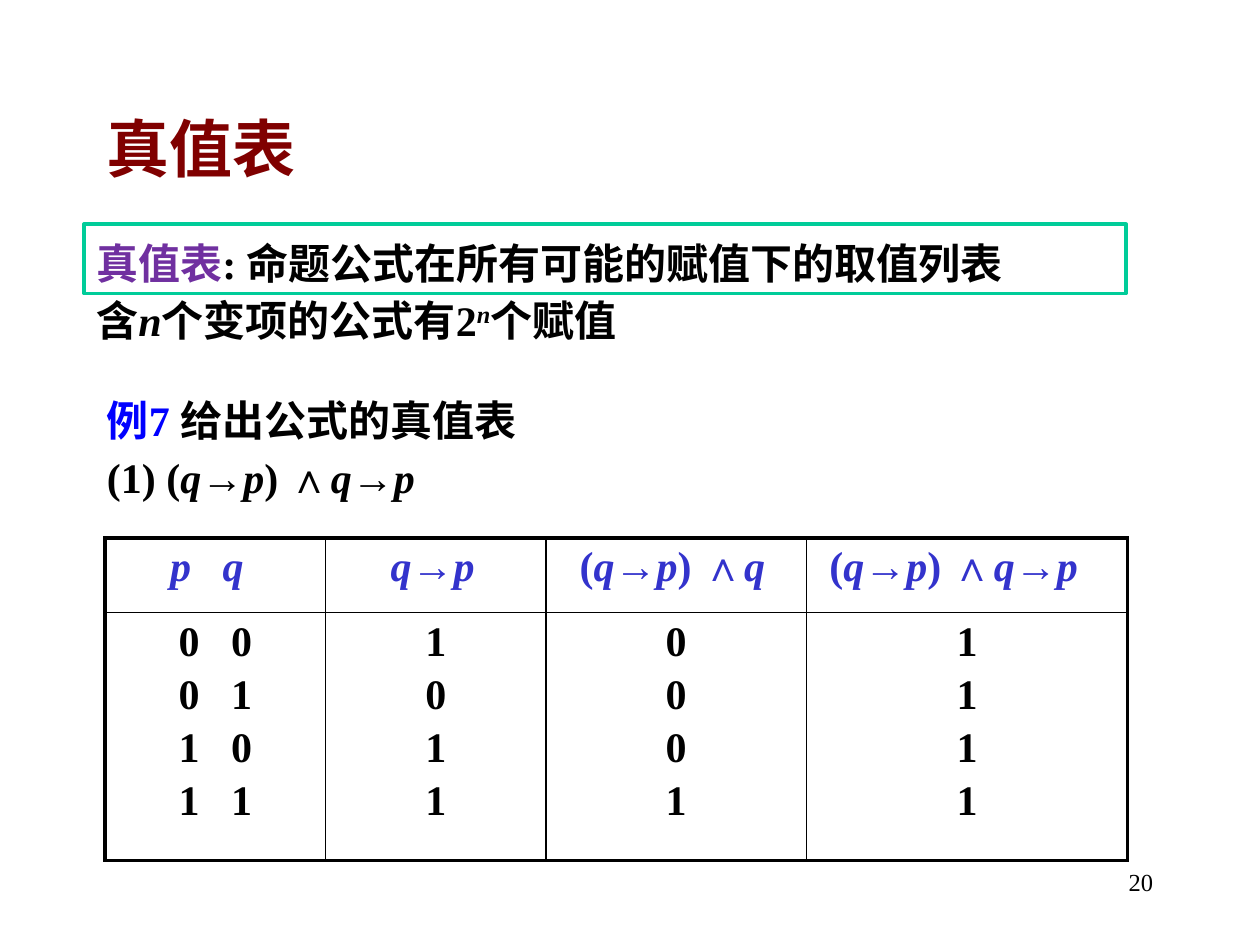
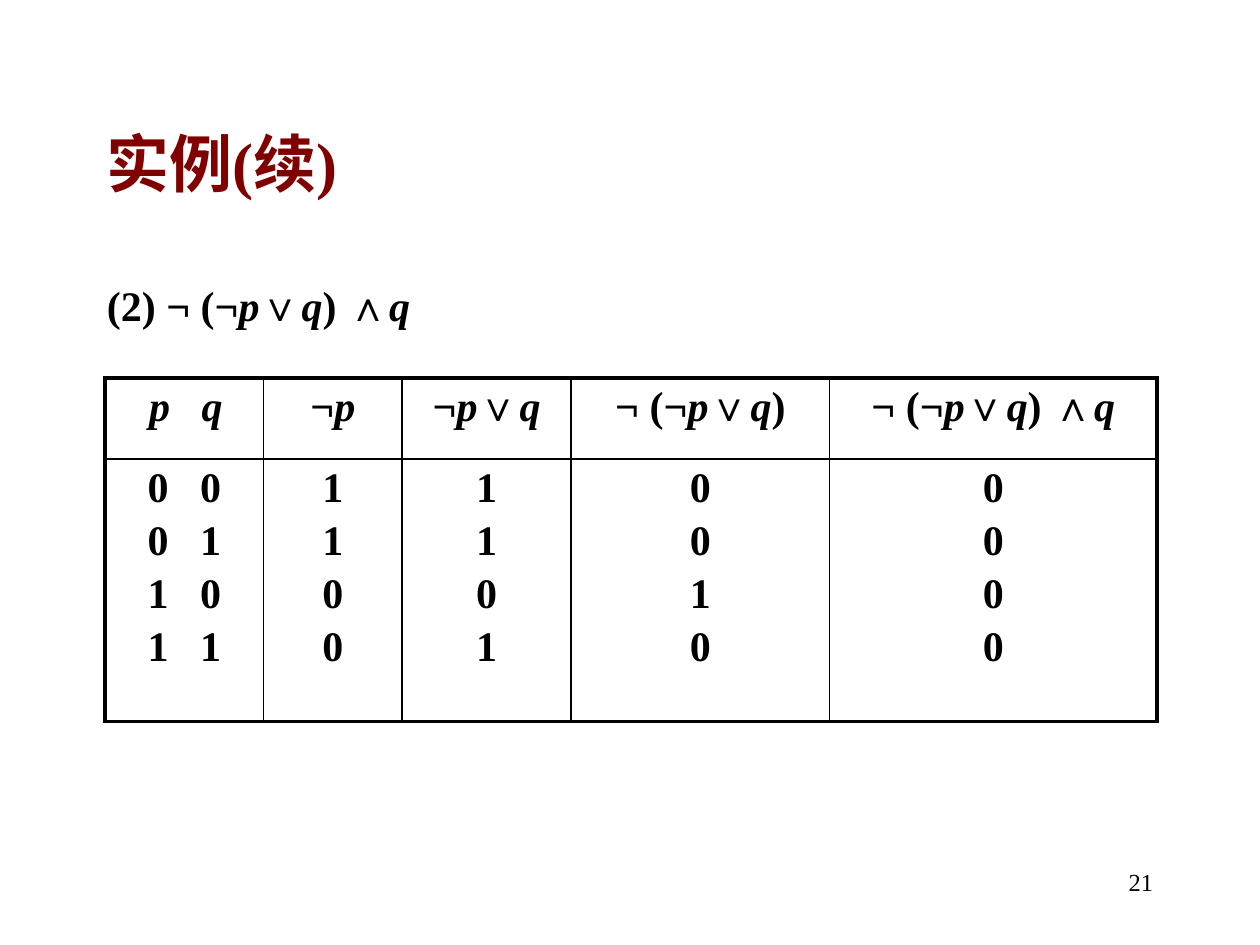
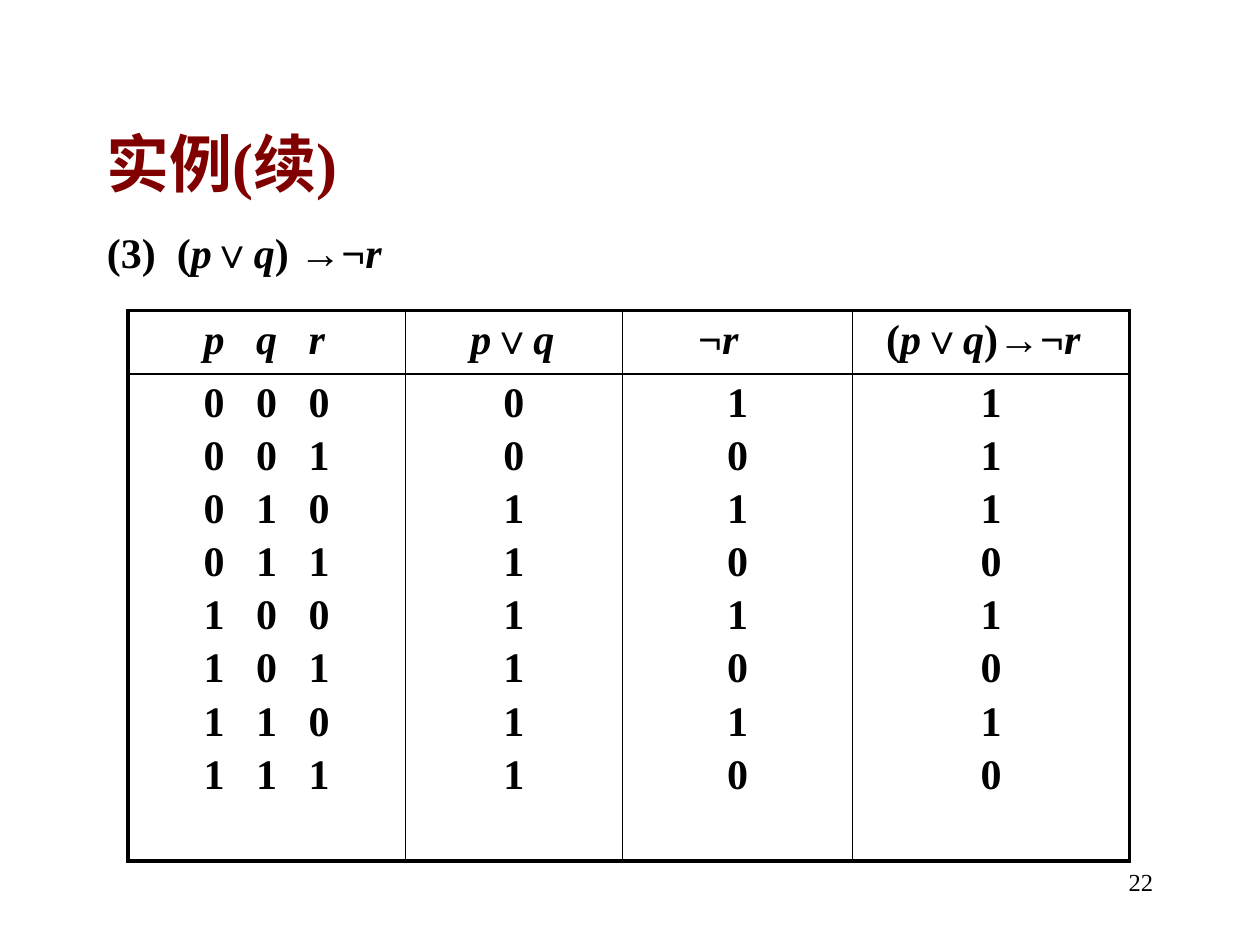
import itertools

import lxml.etree
import pptx
import pptx.dml.color
import pptx.enum.shapes
import pptx.enum.text
import pptx.oxml.ns
import pptx.util

BLACK = pptx.dml.color.RGBColor(0x00, 0x00, 0x00)
WHITE = pptx.dml.color.RGBColor(0xFF, 0xFF, 0xFF)
MAROON = pptx.dml.color.RGBColor(0x80, 0x00, 0x00)
BLUE = pptx.dml.color.RGBColor(0x00, 0x00, 0xFF)
INDIGO = pptx.dml.color.RGBColor(0x33, 0x33, 0xCC)
PURPLE = pptx.dml.color.RGBColor(0x70, 0x30, 0xA0)
GREEN = pptx.dml.color.RGBColor(0x00, 0xCC, 0x99)

FONT = "Times New Roman"
TITLE_SIZE, BODY_SIZE, NUMBER_SIZE = 36, 24, 14
PARAGRAPH_GAP = pptx.util.Pt(3.8)
SPACE_WIDTH = 6
OUTER_BORDER, INNER_BORDER = 2.25, 1
COLUMNS, ROWS = 120, 90
CELL_MARGIN = 1.2
CENTER = pptx.enum.text.PP_ALIGN.CENTER
RIGHT = pptx.enum.text.PP_ALIGN.RIGHT


def grid(units):
    """Length of a number of grid units; the slide is 120 by 90 of them."""
    return int(pptx.util.Inches(10) * units / COLUMNS)


def character_kind(character):
    if character in "pqrn":
        return "variable"
    return {"_": "gap", "ⁿ": "power"}.get(character, "plain")


def add_formula(paragraph, text, color, size=BODY_SIZE, bold=True):
    """Add runs: variables in italics, ⁿ raised, each _ one space of width."""
    for kind, characters in itertools.groupby(text, character_kind):
        piece = "".join(characters)
        run = paragraph.add_run()
        run.text = {"gap": " ", "power": "n"}.get(kind, piece)
        run.font.name = FONT
        run.font.size = pptx.util.Pt(size)
        run.font.bold = bold
        run.font.italic = kind in ("variable", "power")
        run.font.color.rgb = color
        properties = run.font._element
        if kind == "gap":
            properties.set("spc", str((len(piece) - 1) * SPACE_WIDTH * 100))
        elif kind == "power":
            properties.set("baseline", "30000")


def fill_paragraphs(text_frame, lines, alignment=None, **style):
    """Write lines, each a list of (text, color) parts."""
    for index, parts in enumerate(lines):
        paragraph = text_frame.add_paragraph() if index else text_frame.paragraphs[0]
        paragraph.alignment = alignment
        paragraph.space_before = PARAGRAPH_GAP
        for text, color in parts:
            add_formula(paragraph, text, color, **style)


def add_text(slide, left, top, width, height, lines, **style):
    box = slide.shapes.add_textbox(grid(left), grid(top), grid(width), grid(height))
    box.text_frame.word_wrap = True
    fill_paragraphs(box.text_frame, lines, **style)
    return box


def add_page(presentation, number, title, title_height):
    slide = presentation.slides.add_slide(presentation.slide_layouts[6])
    add_text(slide, 86, 82, 25, 6, [[(str(number), BLACK)]],
             alignment=RIGHT, size=NUMBER_SIZE, bold=False)
    box = add_text(slide, 9, 8, 102, title_height, [[(title, MAROON)]], size=TITLE_SIZE)
    box.text_frame.vertical_anchor = pptx.enum.text.MSO_ANCHOR.MIDDLE
    box.text_frame.paragraphs[0].space_before = pptx.util.Pt(0)
    return slide


def add_frame(slide, left, top, width, height):
    frame = slide.shapes.add_shape(pptx.enum.shapes.MSO_SHAPE.RECTANGLE,
                                   grid(left), grid(top), grid(width), grid(height))
    frame.shadow.inherit = False
    frame.fill.solid()
    frame.fill.fore_color.rgb = WHITE
    frame.line.color.rgb = GREEN
    frame.line.width = pptx.util.Pt(2)


def set_borders(cell, outer_edges):
    """Draw the four borders, thick on the outer edges of the table."""
    properties = cell._tc.get_or_add_tcPr()
    qualified = pptx.oxml.ns.qn
    for index, edge in enumerate(("lnL", "lnR", "lnT", "lnB")):
        width = OUTER_BORDER if edge in outer_edges else INNER_BORDER
        line = lxml.etree.Element(qualified("a:" + edge), w=str(pptx.util.Pt(width)))
        fill = lxml.etree.SubElement(line, qualified("a:solidFill"))
        lxml.etree.SubElement(fill, qualified("a:srgbClr"), val=str(BLACK))
        properties.insert(index, line)


def add_truth_table(slide, left, top, widths, heights, headers, values, header_color=BLACK):
    """headers: (formula, indent in spaces or None to centre);
    values: one string of digits for each formula after the variables."""
    variables = headers[0][0].count("_") // 3 + 1
    assignments = ["___".join(bits) for bits in itertools.product("01", repeat=variables)]
    shape = slide.shapes.add_table(2, len(widths), grid(left), grid(top),
                                   grid(sum(widths)), grid(sum(heights)))
    table = shape.table
    table.first_row = table.horz_banding = False
    for row, height in zip(table.rows, heights):
        row.height = grid(height)
    last = len(widths) - 1
    for index, (width, (formula, indent), results) in enumerate(
            zip(widths, headers, [assignments, *values])):
        table.columns[index].width = grid(width)
        sides = {"lnL"} if index == 0 else {"lnR"} if index == last else set()
        header, body = table.cell(0, index), table.cell(1, index)
        for cell, edge in ((header, "lnT"), (body, "lnB")):
            cell.fill.solid()
            cell.fill.fore_color.rgb = WHITE
            set_borders(cell, sides | {edge})
        if indent is not None:
            header.margin_left = grid(CELL_MARGIN + indent)
        fill_paragraphs(header.text_frame, [[(formula, header_color)]],
                        alignment=CENTER if indent is None else None)
        fill_paragraphs(body.text_frame, [[(result, BLACK)] for result in results],
                        alignment=CENTER)


def add_definition_page(presentation):
    slide = add_page(presentation, 20, "真值表", 12)
    add_text(slide, 9, 37, 102, 13, [
        [("例7 ", BLUE), ("给出公式的真值表", BLACK)],
        [("(1) (q→p) ∧q→p", BLACK)],
    ])
    add_truth_table(
        slide, 10, 51.25, [21, 21, 24.8, 30.6], [7.1, 23.6],
        [("p___q", 5), ("q→p", 5), ("(q→p) ∧q", 2), ("(q→p) ∧q→p", 1)],
        ["1011", "0001", "1111"], INDIGO)
    add_frame(slide, 8, 21.35, 99.25, 6.6)
    add_text(slide, 8, 22, 104, 12, [
        [("真值表", PURPLE), (": 命题公式在所有可能的赋值下的取值列表", BLACK)],
        [("含n个变项的公式有2ⁿ个赋值", BLACK)],
    ])


def add_negation_page(presentation):
    slide = add_page(presentation, 21, "实例(续)", 15)
    add_text(slide, 9, 26, 102, 45, [[("(2) ¬ (¬p∨q) ∧q", BLACK)]])
    add_truth_table(
        slide, 10, 36, [15.1, 13.2, 16.1, 24.6, 31.2], [7.7, 25],
        [("p___q", 3), ("¬p", None), ("¬p∨q", None), ("¬ (¬p∨q)", None),
         ("¬ (¬p∨q) ∧q", None)],
        ["1100", "1101", "0010", "0000"])


def add_three_variable_page(presentation):
    slide = add_page(presentation, 22, "实例(续)", 15)
    add_text(slide, 9, 21, 102, 7, [[("(3)__(p∨q) →¬r", BLACK)]])
    add_truth_table(
        slide, 12.2, 29.6, [26.4, 20.7, 21.9, 26.4], [6, 46.4],
        [("p___q___r", 6), ("p∨q", 5), ("¬r", 6), ("(p∨q)→¬r", 2)],
        ["00111111", "10101010", "11101010"])


def main():
    presentation = pptx.Presentation()
    presentation.slide_width, presentation.slide_height = grid(COLUMNS), grid(ROWS)
    add_definition_page(presentation)
    add_negation_page(presentation)
    add_three_variable_page(presentation)
    presentation.save("out.pptx")


if __name__ == "__main__":
    main()
